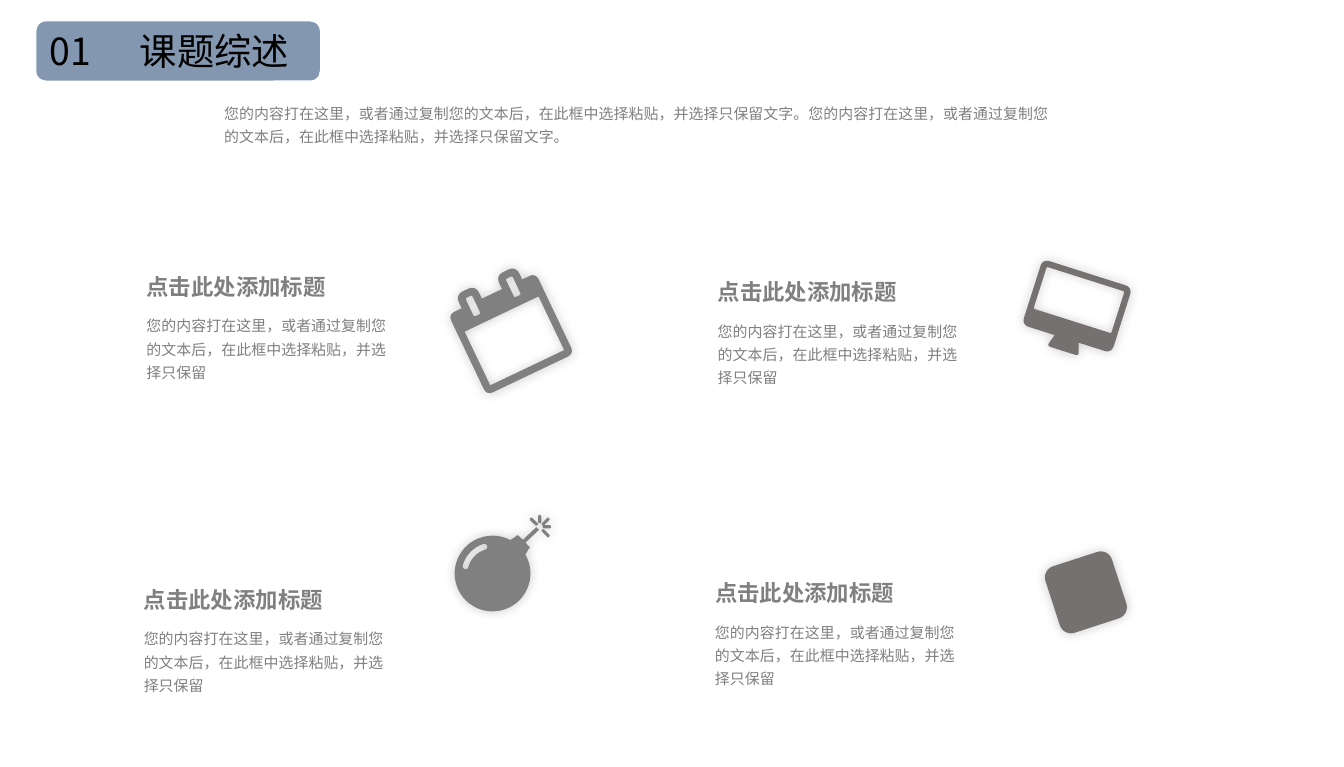
from math import cos, hypot, radians, sin, atan2, degrees

from lxml.etree import SubElement
from pptx import Presentation
from pptx.dml.color import RGBColor
from pptx.enum.shapes import MSO_SHAPE as SHAPE
from pptx.enum.text import MSO_ANCHOR as ANCHOR, MSO_AUTO_SIZE as AUTO, PP_ALIGN as ALIGN
from pptx.oxml.ns import qn
from pptx.util import Inches, Pt

FONT = "Noto Sans CJK SC"
COLORS = {"banner": "8497B0", "gray": "808080", "warm": "767171", "black": "000000"}
HEADING = "点击此处添加标题"
DETAIL = "您的内容打在这里，或者通过复制您的文本后，在此框中选择粘贴，并选择只保留"
INTRO = (DETAIL + "文字。") * 2
BLOCKS = [(1.02, 1.89), (5.27, 1.93), (1, 4.22), (5.25, 4.17)]


def rgb(name):
    return RGBColor.from_string(COLORS[name])


def place(sp, x, y, w, h):
    sp.left, sp.top, sp.width, sp.height = (Inches(v) for v in (x, y, w, h))


def set_text(sp, text, size, color, bold=False, spacing=1.0, wrap=True, inset=(0.1, 0.05)):
    tf = sp.text_frame
    tf.word_wrap = wrap
    tf.auto_size = AUTO.NONE
    tf.vertical_anchor = ANCHOR.TOP
    tf.margin_left = tf.margin_right = Inches(inset[0])
    tf.margin_top = tf.margin_bottom = Inches(inset[1])
    p = tf.paragraphs[0]
    p.text = text
    p.alignment = ALIGN.LEFT
    p.line_spacing = spacing
    p.font.name = FONT
    p.font.size = Pt(size)
    p.font.bold = bold
    p.font.color.rgb = rgb(color)
    SubElement(p._p.pPr.find(qn("a:defRPr")), qn("a:ea"), typeface=FONT)


def add_text(s, box, text, size, color, **style):
    sp = s.shapes.add_textbox(*(Inches(v) for v in box))
    set_text(sp, text, size, color, **style)


def add_block(s, x, y):
    """Add a heading with its detail paragraph below."""
    inset = (0.07, 0.04)
    add_text(s, (x, y, 2.61, 0.38), HEADING, 12, "gray", bold=True, spacing=1.5, inset=inset)
    add_text(s, (x, y + 0.39, 1.97, 0.6), DETAIL, 8, "gray", spacing=1.3, inset=inset)


def paint(sp, color):
    sp.shadow.inherit = False
    sp.fill.solid()
    sp.fill.fore_color.rgb = rgb(color)
    sp.line.fill.background()


def add_glow(sp):
    """Add a soft, centred shadow."""
    effects = sp.element.spPr.find(qn("a:effectLst"))
    shadow = SubElement(effects, qn("a:outerShdw"), blurRad=str(Pt(6)), dist="0", dir="18900000")
    clr = SubElement(shadow, qn("a:srgbClr"), val=COLORS["black"])
    SubElement(clr, qn("a:alpha"), val="20000")


def arc(cx, cy, r, start, end, steps=12):
    angles = (radians(start + (end - start) * i / steps) for i in range(steps + 1))
    return [(cx + r * cos(a), cy + r * sin(a)) for a in angles]


def capsule(x1, y1, x2, y2, r):
    a = degrees(atan2(y2 - y1, x2 - x1))
    return arc(x2, y2, r, a - 90, a + 90) + arc(x1, y1, r, a + 90, a + 270)


def rounded(corners, steps=6):
    """Round each (x, y, radius) corner with a quadratic curve."""
    points = []
    for i, (x, y, r) in enumerate(corners):
        ends = []
        for nx, ny, _ in (corners[i - 1], corners[(i + 1) % len(corners)]):
            t = r / hypot(nx - x, ny - y)
            ends.append((x + (nx - x) * t, y + (ny - y) * t))
        (ax, ay), (bx, by) = ends
        for k in range(steps + 1 if r else 1):
            t = k / steps
            u = 1 - t
            points.append((u * u * ax + 2 * u * t * x + t * t * bx,
                           u * u * ay + 2 * u * t * y + t * t * by))
    return points


def rect(x1, y1, x2, y2, r=0):
    return rounded([(x1, y1, r), (x2, y1, r), (x2, y2, r), (x1, y2, r)])


def add_icon(s, x, y, units_per_inch, contours, color, rotation=0):
    first = contours[0][0]
    fb = s.shapes.build_freeform(*first, scale=Inches(1) / units_per_inch)
    for contour in contours:
        if contour is not contours[0]:
            fb.move_to(*contour[0])
        fb.add_line_segments(contour[1:], close=True)
    sp = fb.convert_to_shape(Inches(x), Inches(y))
    sp.rotation = rotation
    paint(sp, color)
    add_glow(sp)


def calendar():
    outline = [(0, 256, 128)]
    for left in (256, 1024):
        outline += [(left, 256, 0), (left, 0, 150), (left + 384, 0, 150), (left + 384, 256, 0)]
    outline += [(1664, 256, 128), (1664, 1792, 128), (0, 1792, 128)]
    slots = [rect(x, 128, x + 128, 480, 32) for x in (384, 1152)]
    return [rounded(outline), rect(128, 640, 1536, 1664), *slots]


def monitor():
    outline = [(0, 0, 160), (1920, 0, 160), (1920, 1408, 160), (1216, 1408, 0),
               (1300, 1664, 80), (620, 1664, 80), (704, 1408, 0), (0, 1408, 160)]
    return [rounded(outline), rect(128, 128, 1792, 1024, 32)]


def bomb():
    cx, cy = 285, 440
    body = arc(cx, cy, 282, -30, 298, 48)
    neck = rounded([(450, 170, 0), (470, 150, 15), (510, 190, 0), (610, 95, 0),
                    (630, 115, 0), (530, 210, 0), (575, 260, 20)])
    head, tail = arc(cx, cy, 208, 195, 253, 1)
    shine = (arc(cx, cy, 230, 195, 253) + arc(*tail, 22, 253, 433)
             + arc(cx, cy, 186, 253, 195) + arc(*head, 22, 375, 555))
    sparks = [(670, 92, 708, 92), (662, 122, 698, 158), (662, 72, 698, 36),
              (610, 72, 574, 36), (636, 15, 636, 55)]
    return [body + neck, shine, *(capsule(*ends, 12) for ends in sparks)]


def add_header(s):
    title = s.shapes.title
    banner = s.shapes.add_shape(SHAPE.ROUNDED_RECTANGLE, 0, 0, 0, 0)
    place(banner, 0.27, 0.16, 2.11, 0.44)
    paint(banner, "banner")
    title.element.addprevious(banner.element)
    place(title, 0.94, 0.16, 1.32, 0.44)
    set_text(title, "课题综述", 20, "black", wrap=False)
    add_text(s, (0.27, 0.16, 0.53, 0.44), "01", 20, "black", wrap=False)


def add_tile(s):
    tile = s.shapes.add_shape(SHAPE.ROUNDED_RECTANGLE, 0, 0, 0, 0)
    place(tile, 7.82, 4.15, 0.52, 0.52)
    tile.rotation = -18
    paint(tile, "warm")
    add_glow(tile)


def main():
    prs = Presentation()
    prs.slide_width, prs.slide_height = Inches(10), Inches(5.71)
    s = prs.slides.add_slide(prs.slide_layouts[5])
    add_header(s)
    add_icon(s, 3.42, 2.05, 1664 / 0.72, calendar(), "gray", 334.5)
    add_icon(s, 3.38, 3.83, 1000, bomb(), "gray")
    add_icon(s, 7.65, 2.02, 1920 / 0.7, monitor(), "warm", 17.6)
    add_tile(s)
    for x, y in BLOCKS:
        add_block(s, x, y)
    add_text(s, (1.57, 0.69, 6.44, 0.43), INTRO, 8, "gray", spacing=1.3)
    prs.save("out.pptx")


if __name__ == "__main__":
    main()
